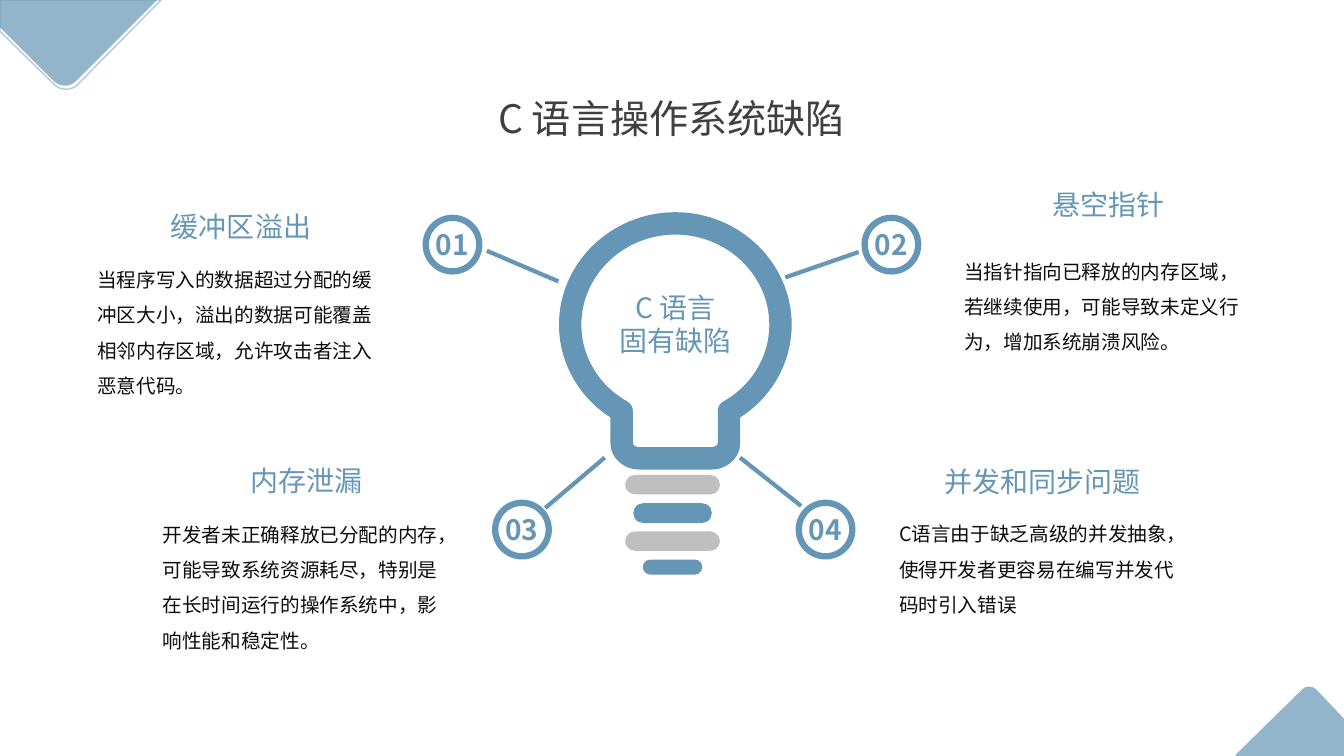
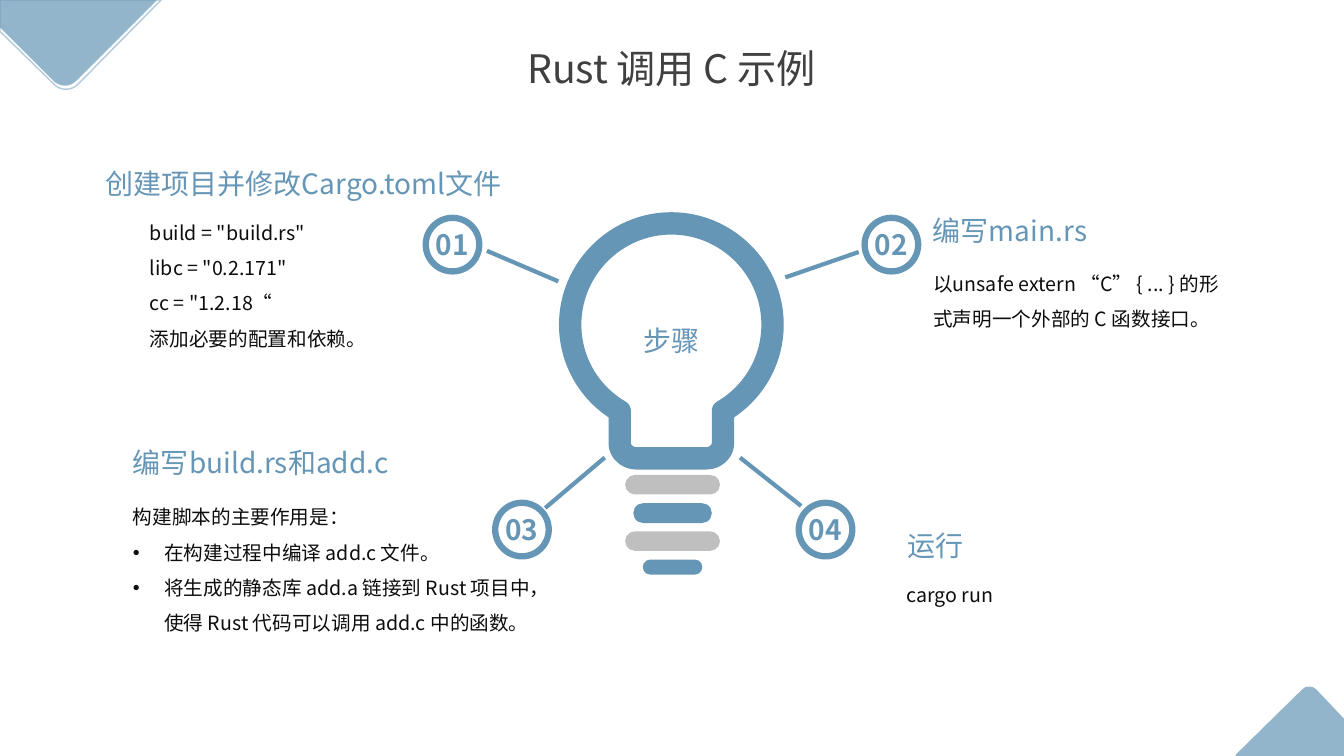
from dataclasses import dataclass

from lxml.etree import SubElement
from pptx import Presentation
from pptx.dml.color import RGBColor
from pptx.enum.shapes import MSO_CONNECTOR as Link, MSO_SHAPE as Kind
from pptx.enum.text import MSO_ANCHOR as Anchor, MSO_AUTO_SIZE as Fit, PP_ALIGN as Align
from pptx.oxml.ns import qn
from pptx.util import Cm, Pt

COLORS = {"blue": "6696B6", "gray": "BFBFBF", "title": "404040", "body": "0D0D0D"}
SANS = "Noto Sans CJK SC"
BULLET = "• "


@dataclass
class Note:
    """A heading and its text; boxes are left, top, width, height in cm."""
    head: str
    head_box: tuple
    lines: list
    body_box: tuple
    align: Align = Align.LEFT
    font: str = SANS


SLIDES = [
    {
        "title": "C 语言操作系统缺陷", "title_top": 2.24,
        "core": ["C 语言", "固有缺陷"], "half": 2.65, "lift": 0.85,
        "notes": [
            Note("缓冲区溢出", (2.19, 5.16, 7.77, 1.12),
                 ["当程序写入的数据超过分配的缓冲区大小，溢出的数据可能覆盖相邻内存区域，允许攻击者注入恶意代码。"],
                 (2.2, 6.33, 7.77, 3.73), Align.CENTER, "Arial"),
            Note("悬空指针", (24.05, 4.6, 7.77, 1.12),
                 ["当指针指向已释放的内存区域，若继续使用，可能导致未定义行为，增加系统崩溃风险。"],
                 (24.05, 6.12, 7.77, 2.84), Align.CENTER),
            Note("内存泄漏", (3.86, 11.56, 7.75, 1.12),
                 ["开发者未正确释放已分配的内存，可能导致系统资源耗尽，特别是在长时间运行的操作系统中，影响性能和稳定性。"],
                 (3.85, 12.75, 7.75, 3.73), Align.CENTER),
            Note("并发和同步问题", (22.38, 11.58, 7.8, 1.12),
                 ["C语言由于缺乏高级的并发抽象，使得开发者更容易在编写并发代码时引入错误"],
                 (22.41, 12.74, 7.77, 2.84), Align.CENTER),
        ],
    },
    {
        "title": "Rust 调用 C 示例", "title_top": 0.99,
        "core": ["步骤"], "half": 2.55, "lift": 0,
        "notes": [
            Note("创建项目并修改Cargo.toml文件", (2.41, 4.08, 11.71, 1.12),
                 ['build = "build.rs"', 'libc = "0.2.171"', 'cc = "1.2.18“', "添加必要的配置和依赖。"],
                 (3.53, 5.14, 8.38, 3.73)),
            Note("编写main.rs", (23.26, 5.26, 6.43, 1.12),
                 ["以unsafe extern “C” { ... } 的形式声明一个外部的 C 函数接口。"],
                 (23.27, 6.43, 8.08, 1.96)),
            Note("编写build.rs和add.c", (3.1, 11.1, 8.81, 1.12),
                 ["构建脚本的主要作用是：", BULLET + "在构建过程中编译 add.c 文件。",
                  BULLET + "将生成的静态库 add.a 链接到 Rust 项目中，使得 Rust 代码可以调用 add.c 中的函数。"],
                 (3.1, 12.31, 11, 3.73)),
            Note("运行", (22.61, 13.2, 6.43, 1.12), ["cargo run"], (22.59, 14.28, 7.77, 1.04)),
        ],
    },
]

# Badge left and top, then both ends of its line
BADGES = [
    ((10.73, 5.49), (12.27, 6.32), (14.07, 7.09)),
    ((21.79, 5.49), (21.64, 6.35), (19.79, 6.99)),
    ((12.48, 12.67), (13.74, 12.8), (15.24, 11.53)),
    ((20.13, 12.67), (20.19, 12.75), (18.65, 11.53)),
]
BADGE = 1.35
BARS = [(2.39, 0.49, "gray"), (1.98, 0.5, "blue"), (2.39, 0.49, "gray"), (1.5, 0.38, "blue")]
BAR_MID, BAR_TOP, BAR_STEP = 16.95, 11.97, 0.71

# Outlines: a start point, then steps of one point (line) or three (curve)
BULB_LEFT = 14.37
BULB = [  # right half; x in half widths from the axis, y in cm
    (0, 5.63),
    [(0.55, 5.63), (1, 6.78), (1, 8.18)],
    [(1, 9.12), (0.8, 9.93), (0.51, 10.36)],
    [(0.51, 11.18)],
    [(0.51, 11.38), (0.43, 11.55), (0.35, 11.55)],
]
LOW = [
    (32.99, 17.3), [(33.05, 17.3), (33.12, 17.32), (33.17, 17.37)],
    [(33.87, 18.11)], [(33.87, 19.05)], [(31.14, 19.05)], [(31.14, 19.02)],
    [(32.82, 17.37)], [(32.87, 17.32), (32.92, 17.3), (32.99, 17.3)],
]
TOP = [
    (3.96, 0), [(0, 0)], [(0, 0.69)], [(1.37, 2.06)],
    [(1.46, 2.13), (1.55, 2.16), (1.65, 2.16)], [(1.75, 2.16), (1.85, 2.11), (1.93, 2.03)],
]
RIM = [
    (4.06, 0), [(0, 0)], [(0, 0.79)], [(1.37, 2.13)],
    [(1.45, 2.21), (1.55, 2.25), (1.66, 2.25)], [(1.77, 2.25), (1.88, 2.21), (1.96, 2.13)],
]


def mirror(half):
    """Close a right half with its reflection in the axis."""
    starts = [half[0], *(step[-1] for step in half[1:])]
    flip = [(-x, y) for x, y in starts]
    back = [[(-x, y) for x, y in reversed(step[:-1])] + [start]
            for step, start in zip(half[:0:-1], flip[-2::-1])]
    return half + [[flip[-1]]] + back


def paint(shape, fill=None, line=None, width=1, alpha=None):
    shape.shadow.inherit = False
    for name, part in ((fill, shape.fill), (line, shape.line.fill)):
        if name is None:
            part.background()
            continue
        part.solid()
        part.fore_color.rgb = RGBColor.from_string(COLORS[name])
    if line:
        shape.line.width = Pt(width)
    if alpha:
        for color in shape._element.spPr.iter(qn("a:srgbClr")):
            SubElement(color, qn("a:alpha"), val=str(alpha * 1000))


def draw(slide, outline, **look):
    """Build the outline through its knots, then bend the curved steps."""
    start, *steps = outline
    pen = slide.shapes.build_freeform(*map(Cm, start))
    pen.add_line_segments([tuple(map(Cm, step[-1])) for step in steps], close=True)
    shape = pen.convert_to_shape()
    edges = list(shape._element.spPr.iter(qn("a:lnTo")))
    for edge, step in zip(edges, steps):
        if len(step) == 3:
            edge.tag = qn("a:cubicBezTo")
            for i, (x, y) in enumerate(step[:2]):
                knot = edge.makeelement(qn("a:pt"), x=str(Cm(x) - shape.left), y=str(Cm(y) - shape.top))
                edge.insert(i, knot)
    paint(shape, **look)
    return shape


def write(shape, lines, size, color, align=Align.CENTER, font=SANS, bold=None, gap=None):
    frame = shape.text_frame
    frame.word_wrap = True
    for i, line in enumerate(lines):
        par = frame.paragraphs[0] if i == 0 else frame.add_paragraph()
        par.text = line.removeprefix(BULLET)
        par.alignment, par.line_spacing = align, gap
        par.font.size, par.font.bold, par.font.name = Pt(size), bold, font
        par.font.color.rgb = RGBColor.from_string(COLORS[color])
        props = par._p.get_or_add_pPr()
        base = props.find(qn("a:defRPr"))
        SubElement(base, qn("a:ea"), typeface=font)
        if line.startswith(BULLET):
            props.set("marL", str(Cm(0.79)))
            props.set("indent", str(-Cm(0.79)))
            base.addprevious(SubElement(props, qn("a:buFont"), typeface="Arial"))
            base.addprevious(SubElement(props, qn("a:buChar"), char=BULLET.strip()))
    return frame


def add_text(slide, box, lines, *style, **more):
    shape = slide.shapes.add_textbox(*map(Cm, box))
    write(shape, lines, *style, **more).auto_size = Fit.SHAPE_TO_FIT_TEXT


def add_bulb(slide, core, half, lift):
    axis = BULB_LEFT + half
    (x, y), *steps = mirror(BULB)
    ring = [(axis + x * half, y)] + [[(axis + x * half, y) for x, y in step] for step in steps]
    bulb = draw(slide, ring, line="blue", width=16)
    SubElement(bulb.line._get_or_add_ln(), qn("a:round"))
    frame = write(bulb, core, 20, "blue")
    frame.vertical_anchor = Anchor.MIDDLE
    frame.margin_bottom = Cm(0.13 + lift)
    for i, (wide, high, color) in enumerate(BARS):
        bar = slide.shapes.add_shape(Kind.ROUNDED_RECTANGLE, Cm(BAR_MID - wide / 2),
                                     Cm(BAR_TOP + i * BAR_STEP), Cm(wide), Cm(high))
        bar.adjustments[0] = 0.5
        paint(bar, fill=color)


def add_badge(slide, label, spot, start, end):
    disc = slide.shapes.add_shape(Kind.OVAL, *map(Cm, (*spot, BADGE, BADGE)))
    paint(disc, line="blue", width=4.5)
    frame = write(disc, [label], 20, "blue", bold=True)
    frame.vertical_anchor = Anchor.MIDDLE
    frame.margin_left = frame.margin_right = frame.margin_top = frame.margin_bottom = 0
    link = slide.shapes.add_connector(Link.STRAIGHT, *map(Cm, (*start, *end)))
    link.line.width = Pt(3)
    link.line.color.rgb = RGBColor.from_string(COLORS["blue"])
    SubElement(link._element.spPr, qn("a:effectLst"))


def add_frame(slide, title, top):
    """Add the corner shapes and the title."""
    for outline in (LOW, TOP):
        draw(slide, outline, fill="blue", alpha=70)
    draw(slide, RIM, line="blue", alpha=50)
    add_text(slide, (11.87, top, 10.11, 1.45), [title], 28, "title")


def main():
    deck = Presentation()
    deck.slide_width, deck.slide_height = Cm(33.87), Cm(19.05)
    for page in SLIDES:
        slide = deck.slides.add_slide(deck.slide_layouts[6])
        add_bulb(slide, page["core"], page["half"], page["lift"])
        for i, badge in enumerate(BADGES, 1):
            add_badge(slide, f"{i:02}", *badge)
        for note in page["notes"]:
            add_text(slide, note.head_box, [note.head], 20, "blue", note.align, note.font)
            add_text(slide, note.body_box, note.lines, 14, "body", Align.LEFT, note.font, gap=1.5)
        add_frame(slide, page["title"], page["title_top"])
    deck.save("out.pptx")


if __name__ == "__main__":
    main()
